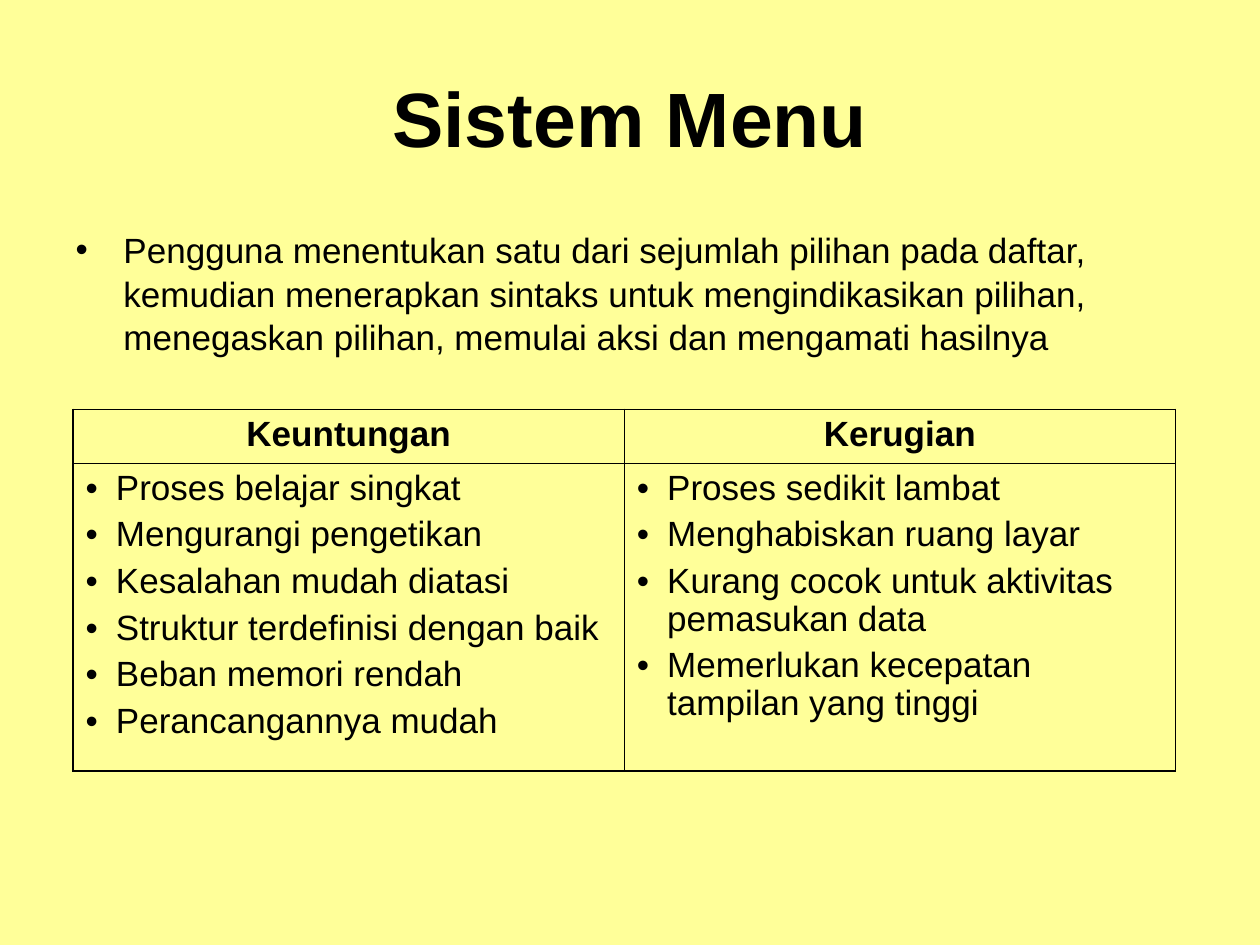
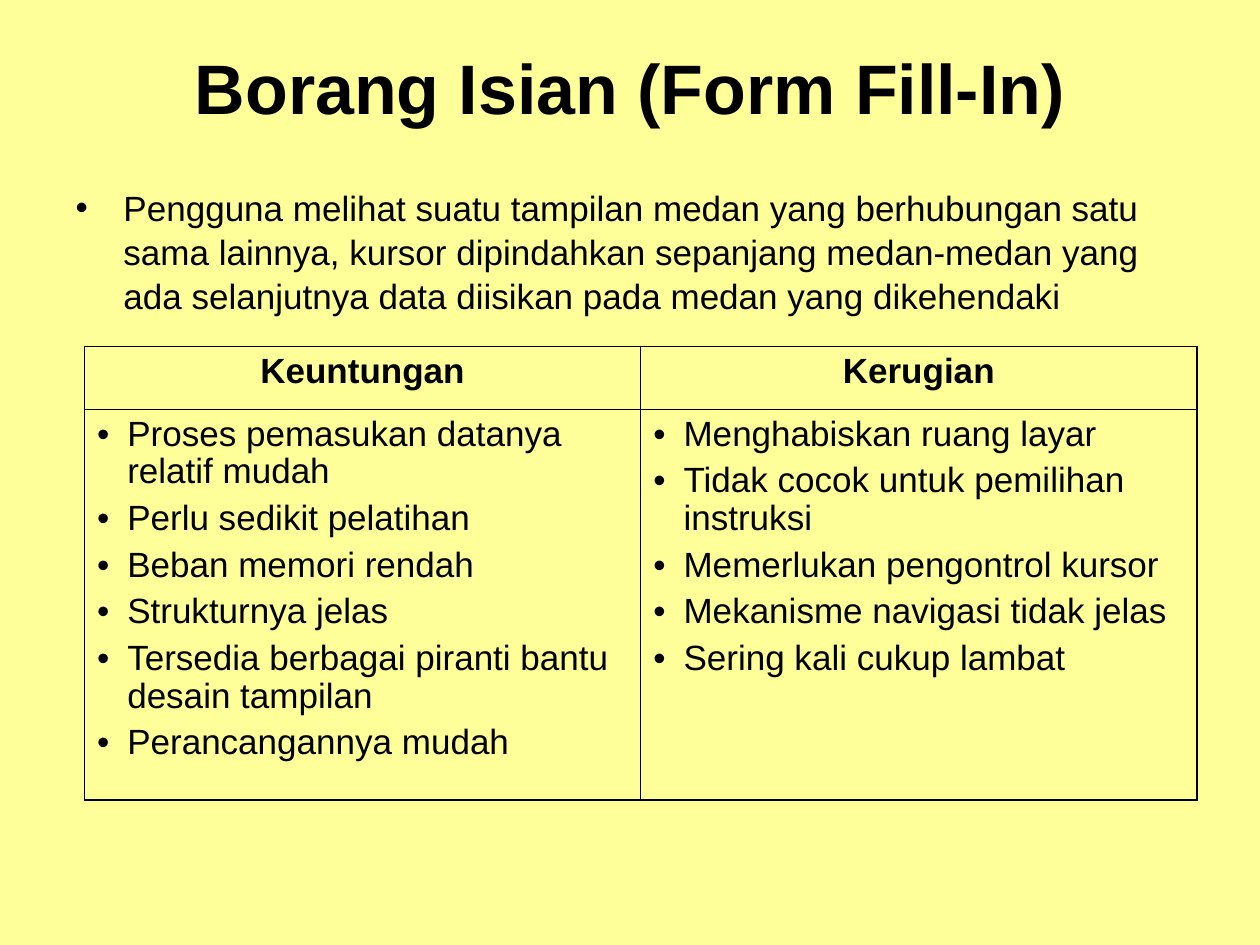
"""Build two slides that weigh the gains and losses of menus and forms."""
from dataclasses import dataclass

from lxml.etree import SubElement as Sub, Element
from pptx import Presentation
from pptx.dml.color import RGBColor as Color
from pptx.enum.text import MSO_ANCHOR as Anchor, MSO_AUTO_SIZE as Fit, PP_ALIGN as Align
from pptx.oxml.ns import qn
from pptx.util import Inches, Pt


@dataclass(frozen=True)
class Theme:
    font: str = "Arial"
    ink: str = "000000"
    paper: str = "FFFF99"
    text: int = 20
    gap: int = 5
    outer: float = 1.08
    inner: float = 0.45
    body_lead: float = 1.04
    cell_lead: float = 0.97
    body_hang: float = 0.38
    cell_hang: float = 0.24


@dataclass(frozen=True)
class Box:
    left: float
    top: float
    width: float
    height: float


@dataclass(frozen=True)
class Topic:
    title: str
    size: int
    intro: str
    pros: tuple[str, ...]
    cons: tuple[str, ...]
    head: Box
    body: Box
    grid: Box
    row: float


THEME = Theme()
HEADS = ("Keuntungan", "Kerugian")
TOPICS = (
    Topic(
        title="Sistem Menu",
        size=44,
        intro="Pengguna menentukan satu dari sejumlah pilihan pada daftar, "
        "kemudian menerapkan sintaks untuk mengindikasikan pilihan, "
        "menegaskan pilihan, memulai aksi dan mengamati hasilnya",
        pros=(
            "Proses belajar singkat",
            "Mengurangi pengetikan",
            "Kesalahan mudah diatasi",
            "Struktur terdefinisi dengan baik",
            "Beban memori rendah",
            "Perancangannya mudah",
        ),
        cons=(
            "Proses sedikit lambat",
            "Menghabiskan ruang layar",
            "Kurang cocok untuk aktivitas pemasukan data",
            "Memerlukan kecepatan tampilan yang tinggi",
        ),
        head=Box(0.5, 0.3, 9, 1.25),
        body=Box(0.5, 1.75, 9, 4.95),
        grid=Box(0.58, 3.25, 8.75, 2.87),
        row=0.43,
    ),
    Topic(
        title="Borang Isian (Form Fill-In)",
        size=40,
        intro="Pengguna melihat suatu tampilan medan yang berhubungan satu "
        "sama lainnya, kursor dipindahkan sepanjang medan-medan yang "
        "ada selanjutnya data diisikan pada medan yang dikehendaki",
        pros=(
            "Proses pemasukan datanya relatif mudah",
            "Perlu sedikit pelatihan",
            "Beban memori rendah",
            "Strukturnya jelas",
            "Tersedia berbagai piranti bantu desain tampilan",
            "Perancangannya mudah",
        ),
        cons=(
            "Menghabiskan ruang layar",
            "Tidak cocok untuk pemilihan instruksi",
            "Memerlukan pengontrol kursor",
            "Mekanisme navigasi tidak jelas",
            "Sering kali cukup lambat",
        ),
        head=Box(0.5, 0.3, 9, 0.78),
        body=Box(0.5, 1.42, 8.92, 5.28),
        grid=Box(0.67, 2.75, 8.83, 3.6),
        row=0.5,
    ),
)


def write(frame, *lines: str, size: int = THEME.text, bold: bool = False,
          align=Align.LEFT, lead: float = 1.0, gap: int = THEME.gap,
          hang: float = 0) -> None:
    """Fill a text frame, with bullets when a hanging indent is given."""
    for at, line in enumerate(lines):
        para = frame.add_paragraph() if at else frame.paragraphs[0]
        para.alignment = align
        para.line_spacing = lead
        para.space_before = Pt(gap)
        run = para.add_run()
        run.text = line
        font = run.font
        font.name, font.size, font.bold = THEME.font, Pt(size), bold
        font.color.rgb = Color.from_string(THEME.ink)
        if hang:
            props = para._p.get_or_add_pPr()
            props.set("marL", str(Inches(hang)))
            props.set("indent", str(-Inches(hang)))
            Sub(Sub(props, qn("a:buClr")), qn("a:srgbClr"), val=THEME.ink)
            Sub(props, qn("a:buFont"), typeface=THEME.font)
            Sub(props, qn("a:buChar"), char="•")


def place(shape, box: Box, anchor):
    """Move a placeholder and return its text frame."""
    shape.left, shape.top = Inches(box.left), Inches(box.top)
    shape.width, shape.height = Inches(box.width), Inches(box.height)
    frame = shape.text_frame
    frame.word_wrap, frame.auto_size = True, Fit.NONE
    frame.vertical_anchor = anchor
    return frame


def rule(cell, row: int, col: int) -> None:
    """Clear a cell and draw its borders, heavier on the outside."""
    cell.fill.background()
    props = cell._tc.get_or_add_tcPr()
    edges = {"L": col == 0, "R": col == 1, "T": row == 0, "B": row == 1}
    for at, (side, edge) in enumerate(edges.items()):
        width = Pt(THEME.outer if edge else THEME.inner)
        line = Element(qn(f"a:ln{side}"), w=str(width))
        Sub(Sub(line, qn("a:solidFill")), qn("a:srgbClr"), val=THEME.ink)
        props.insert(at, line)


def add_grid(slide, topic: Topic) -> None:
    """Add the table of gains and losses."""
    box = topic.grid
    table = slide.shapes.add_table(
        2, 2, Inches(box.left), Inches(box.top),
        Inches(box.width), Inches(box.height)).table
    table.first_row = table.horz_banding = False
    table.rows[0].height = Inches(topic.row)
    table.rows[1].height = Inches(box.height - topic.row)
    for col, items in enumerate((topic.pros, topic.cons)):
        top, low = table.cell(0, col), table.cell(1, col)
        write(top.text_frame, HEADS[col], bold=True, align=Align.CENTER,
              lead=THEME.cell_lead)
        write(low.text_frame, *items, lead=THEME.cell_lead,
              hang=THEME.cell_hang)
        rule(top, 0, col)
        rule(low, 1, col)


def add_topic(deck, topic: Topic) -> None:
    """Add one slide with its title, intro and table."""
    slide = deck.slides.add_slide(deck.slide_layouts[1])
    head = place(slide.shapes.title, topic.head, Anchor.MIDDLE)
    write(head, topic.title, size=topic.size, bold=True, align=Align.CENTER,
          gap=0)
    body = place(slide.placeholders[1], topic.body, Anchor.TOP)
    write(body, topic.intro, lead=THEME.body_lead, hang=THEME.body_hang)
    add_grid(slide, topic)


def main() -> None:
    """Build and save the deck."""
    deck = Presentation()
    deck.slide_width, deck.slide_height = Inches(10), Inches(7.5)
    fill = deck.slide_master.background.fill
    fill.solid()
    fill.fore_color.rgb = Color.from_string(THEME.paper)
    for topic in TOPICS:
        add_topic(deck, topic)
    deck.save("out.pptx")


if __name__ == "__main__":
    main()
